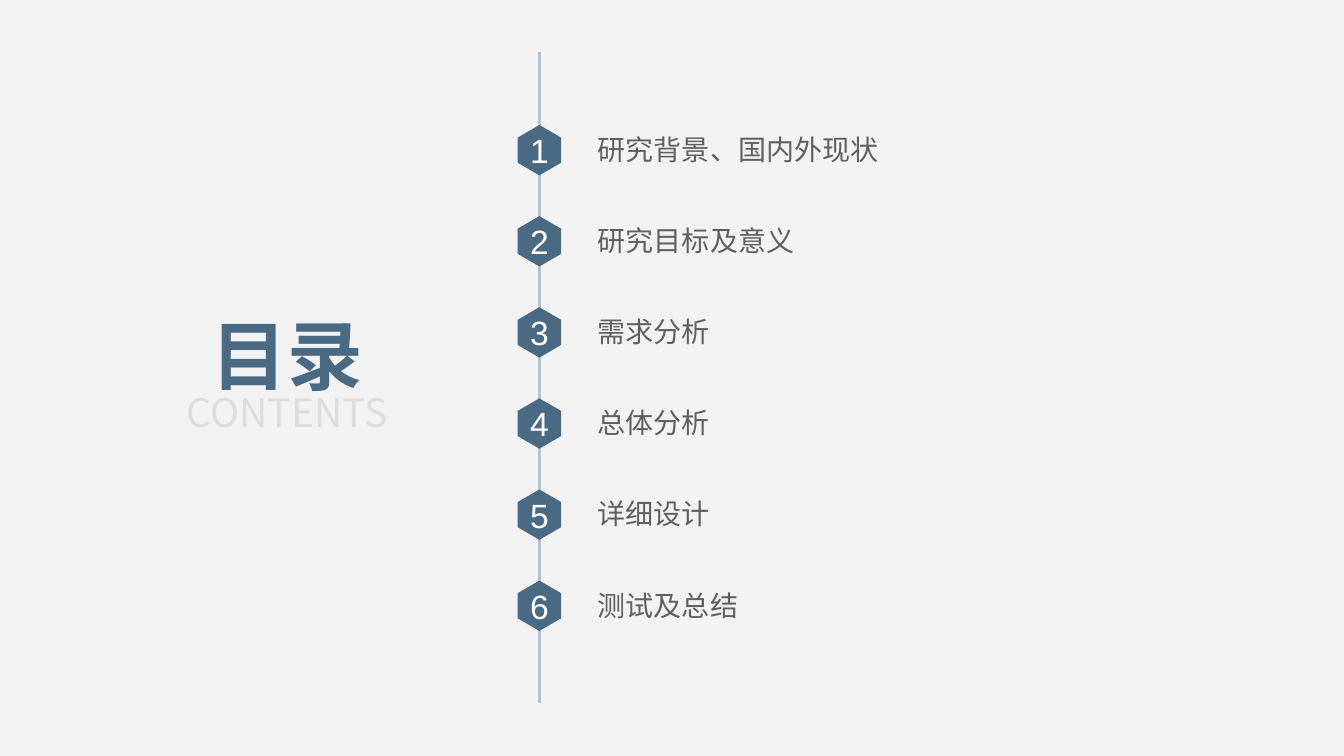
from lxml.etree import SubElement
from pptx import Presentation
from pptx.dml.color import RGBColor
from pptx.enum.shapes import MSO_CONNECTOR as CONN
from pptx.enum.text import MSO_ANCHOR as ANCHOR, PP_ALIGN as ALIGN
from pptx.oxml.ns import qn
from pptx.util import Inches, Pt

TITLE, SUBTITLE = "目录", "CONTENTS"
ITEMS = ["研究背景、国内外现状", "研究目标及意义", "需求分析", "总体分析", "详细设计", "测试及总结"]
COLORS = {"bg": "F2F2F2", "line": "B1C4D3", "accent": "4A6982",
          "item": "5F5F5F", "number": "FFFFFF", "subtitle": "DDDDDD"}
LATIN, CJK = "Arial", "Noto Sans CJK SC"

AXIS_X, AXIS_TOP, AXIS_BOTTOM = 5.35, 0.52, 6.97
FIRST_Y, LAST_Y = 1.49, 6.01
HEX_W, HEX_H = 0.43, 0.5
ITEM_X, ITEM_W, ITEM_H, ITEM_RISE = 5.73, 5.57, 0.59, 0.01
HEAD_X, HEAD_W, HEAD_H = 1.6, 2.5, 0.86
TITLE_Y, SUBTITLE_Y = 3.08, 3.66


def rgb(name):
    return RGBColor.from_string(COLORS[name])


def write(sp, text, size, color, font=LATIN, align=ALIGN.LEFT, bold=False,
          insets=(0, 0, 0, 0)):
    tf = sp.text_frame
    tf.word_wrap = True
    tf.vertical_anchor = ANCHOR.MIDDLE
    tf.margin_left, tf.margin_top, tf.margin_right, tf.margin_bottom = map(Inches, insets)
    p = tf.paragraphs[0]
    p.text = text
    p.alignment = align
    p.line_spacing = 1.0
    p.font.name, p.font.size, p.font.bold = font, Pt(size), bold
    p.font.color.rgb = rgb(color)
    SubElement(p.font._element, qn("a:ea")).set("typeface", CJK)


def add_text(x, y, w, h, *args, **kwargs):
    sp = s.shapes.add_textbox(Inches(x), Inches(y), Inches(w), Inches(h))
    write(sp, *args, **kwargs)


def add_hexagon(cx, cy, number):
    dx, dy = HEX_W / 2, HEX_H / 2
    corners = [(0, -dy), (dx, -dy / 2), (dx, dy / 2), (0, dy), (-dx, dy / 2), (-dx, -dy / 2)]
    points = [(Inches(cx + x), Inches(cy + y)) for x, y in corners]
    fb = s.shapes.build_freeform(*points[0])
    fb.add_line_segments(points[1:], close=True)
    sp = fb.convert_to_shape()
    sp.shadow.inherit = False
    sp.fill.solid()
    sp.fill.fore_color.rgb = rgb("accent")
    sp.line.fill.background()
    write(sp, str(number), 24, "number", align=ALIGN.CENTER)


prs = Presentation()
prs.slide_width, prs.slide_height = Inches(13.33), Inches(7.5)
s = prs.slides.add_slide(prs.slide_layouts[5])
s.background.fill.solid()
s.background.fill.fore_color.rgb = rgb("bg")

axis = s.shapes.add_connector(CONN.STRAIGHT, Inches(AXIS_X), Inches(AXIS_TOP),
                              Inches(AXIS_X), Inches(AXIS_BOTTOM))
axis.line.color.rgb = rgb("line")
axis.line.width = Pt(2)
SubElement(axis._element.spPr, qn("a:effectLst"))

step = (LAST_Y - FIRST_Y) / (len(ITEMS) - 1)
for i, item in enumerate(ITEMS):
    cy = FIRST_Y + i * step
    add_text(ITEM_X, cy - ITEM_H / 2 - ITEM_RISE, ITEM_W, ITEM_H, item, 20, "item",
             insets=(0.2, 0.05, 0.1, 0.05))
    add_hexagon(AXIS_X, cy, i + 1)

title = s.shapes.title
title.left, title.top = Inches(HEAD_X), Inches(TITLE_Y)
title.width, title.height = Inches(HEAD_W), Inches(HEAD_H)
write(title, TITLE, 54, "accent", CJK, ALIGN.CENTER, bold=True)
add_text(HEAD_X, SUBTITLE_Y, HEAD_W, HEAD_H, SUBTITLE, 28, "subtitle", CJK, ALIGN.CENTER)

prs.save("out.pptx")
